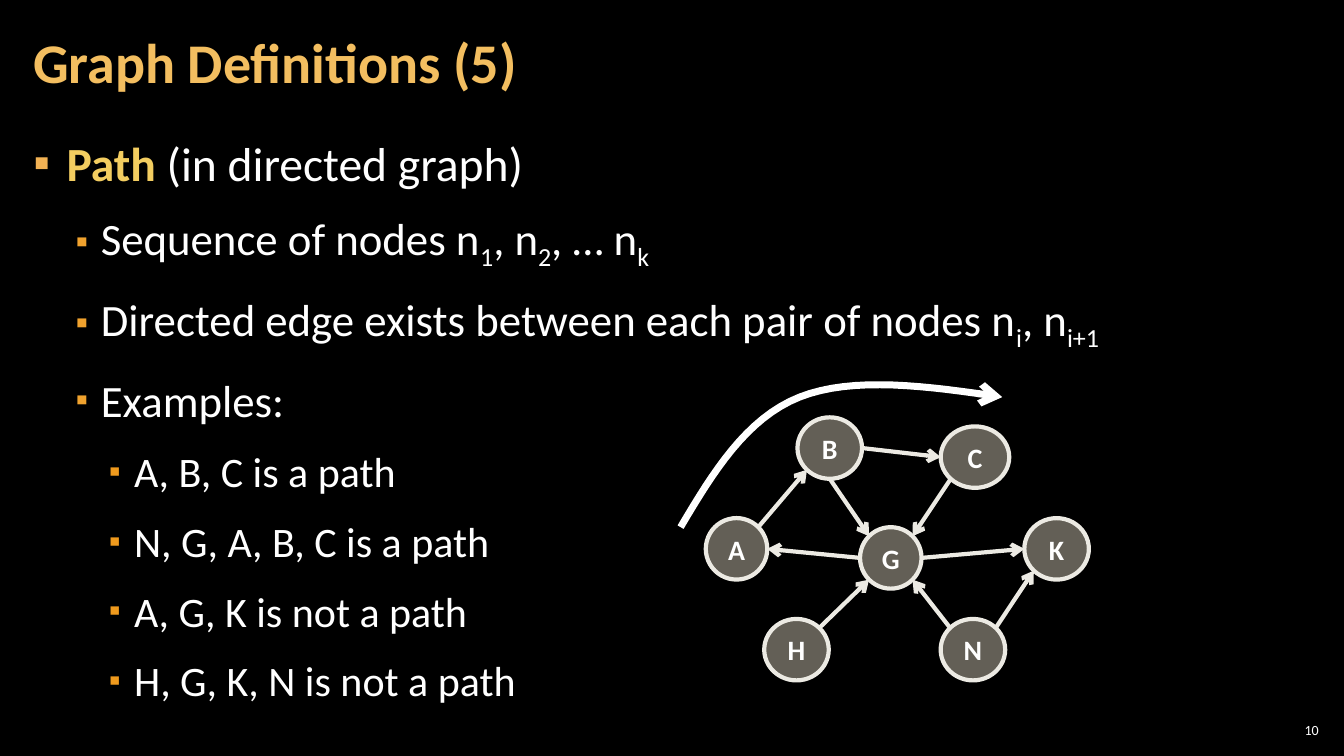
from math import cos, radians, sin

from lxml import etree
from pptx import Presentation
from pptx.dml.color import RGBColor
from pptx.enum.shapes import MSO_CONNECTOR, MSO_SHAPE
from pptx.enum.text import MSO_ANCHOR, MSO_AUTO_SIZE, PP_ALIGN
from pptx.oxml.ns import qn
from pptx.util import Inches, Pt

ELLIPSE, STRAIGHT = MSO_SHAPE.OVAL, MSO_CONNECTOR.STRAIGHT
MIDDLE, TOP = MSO_ANCHOR.MIDDLE, MSO_ANCHOR.TOP
LEFT, CENTER, RIGHT = PP_ALIGN.LEFT, PP_ALIGN.CENTER, PP_ALIGN.RIGHT

TITLE = "Graph Definitions (5)"
SLIDE_NUMBER = "10"
# Each line is (level, [(text, style), ...])
LINES = [
    (0, [("Path", "key"), (" (in directed graph)", "")]),
    (1, [("Sequence of nodes n", ""), ("1", "sub"), (", n", ""), ("2", "sub"),
         (", … n", ""), ("k", "sub")]),
    (1, [("Directed edge exists between each pair of nodes n", ""), ("i", "sub"),
         (", n", ""), ("i+1", "sub")]),
    (1, [("Examples:", "")]),
    (2, [("A, B, C is a path", "")]),
    (2, [("N, G, A, B, C is a path", "")]),
    (2, [("A, G, K is not a path", "")]),
    (2, [("H, G, K, N is not a path", "")]),
]
# Node: left, top, width
NODES = {
    "G": (8.53, 5.23, 0.61), "C": (9.33, 4.23, 0.68), "B": (7.91, 4.14, 0.64),
    "A": (7, 5.14, 0.61), "H": (7.58, 6.14, 0.64), "N": (9.33, 6.14, 0.64),
    "K": (10.16, 5.14, 0.64),
}
NODE_HEIGHT = 0.61
# Edge: source, side it leaves, target, side it enters
EDGES = [
    ("C", "SW", "G", "NE"), ("B", "E", "C", "W"), ("B", "S", "G", "NW"),
    ("G", "W", "A", "E"), ("A", "NE", "B", "SW"), ("H", "NE", "G", "SW"),
    ("N", "NW", "G", "SE"), ("G", "E", "K", "W"), ("N", "NE", "K", "SW"),
]
SIDES = ["E", "SE", "S", "SW", "W", "NW", "N", "NE"]
PATH_CURVE = [
    [(6.75, 5.23), (7.07, 4.69), (7.4, 4.15), (7.93, 3.94)],
    [(7.93, 3.94), (8.46, 3.73), (9.2, 3.83), (9.94, 3.94)],
]
CURVE_STEPS = 16

THEME = {
    "font": "Calibri", "background": "000000", "text": "FFFFFF",
    "title": "F3BE60", "key": "F3CD60", "node": "C7BFAC", "line": "ECEAE3",
    "title_size": 40, "node_size": 20, "number_size": 10,
    "levels": [  # size, bullet colour, bullet percent, left margin, indent
        (34, "F2B254", 100, 0.33, -0.33),
        (32, "F0A22E", 80, 0.67, -0.25),
        (30, "EF9A1D", 80, 1, -0.25),
    ],
}


def color(name):
    return RGBColor.from_string(THEME[name])


def set_font(font, size, color_name, bold=False):
    font.name, font.size, font.bold = THEME["font"], Pt(size), bold
    font.color.rgb = color(color_name)


def set_frame(frame, margins, anchor):
    frame.word_wrap = True
    frame.auto_size = MSO_AUTO_SIZE.NONE
    frame.vertical_anchor = anchor
    frame.margin_left = frame.margin_right = Inches(margins[0])
    frame.margin_top = frame.margin_bottom = Inches(margins[1])


def place(shape, left, top, width, height):
    shape.left, shape.top = Inches(left), Inches(top)
    shape.width, shape.height = Inches(width), Inches(height)


def add_child(parent, tag, **attributes):
    return etree.SubElement(parent, qn(tag), attributes)


def set_bullet(paragraph, level):
    _, bullet_color, percent, margin, indent = THEME["levels"][level]
    properties = paragraph._p.get_or_add_pPr()
    properties.set("marL", str(Inches(margin)))
    properties.set("indent", str(Inches(indent)))
    add_child(add_child(properties, "a:buClr"), "a:srgbClr", val=bullet_color)
    add_child(properties, "a:buSzPct", val=str(percent * 1000))
    add_child(properties, "a:buChar", char="▪")


def style_line(shape, color_name, width, arrow=False):
    shape.line.color.rgb = color(color_name)
    shape.line.width = Pt(width)
    if arrow:
        add_child(shape.line._get_or_add_ln(), "a:tailEnd", type="arrow")


def side_point(name, side):
    """Point on the node's outline in the given compass direction."""
    left, top, width = NODES[name]
    angle = radians(45 * SIDES.index(side))
    return (Inches(left + width / 2 * (1 + cos(angle))),
            Inches(top + NODE_HEIGHT / 2 * (1 + sin(angle))))


def curve_points(controls):
    """Points along a cubic curve, without its start."""
    for step in range(1, CURVE_STEPS + 1):
        t = step / CURVE_STEPS
        weights = ((1 - t) ** 3, 3 * t * (1 - t) ** 2, 3 * t * t * (1 - t), t ** 3)
        yield tuple(Inches(sum(w * point[axis] for w, point in zip(weights, controls)))
                    for axis in (0, 1))


def add_title(slide):
    title = slide.shapes.title
    place(title, 0.21, 0.04, 10.47, 1.21)
    set_frame(title.text_frame, (0.12, 0.04), MIDDLE)
    paragraph = title.text_frame.paragraphs[0]
    paragraph.text, paragraph.alignment, paragraph.line_spacing = TITLE, LEFT, 0.9
    set_font(paragraph.font, THEME["title_size"], "title", True)


def add_body(slide):
    body = slide.placeholders[1]
    place(body, 0.21, 1.26, 12.91, 6.09)
    frame = body.text_frame
    set_frame(frame, (0.12, 0.04), TOP)
    for index, (level, runs) in enumerate(LINES):
        paragraph = frame.add_paragraph() if index else frame.paragraphs[0]
        paragraph.level = level
        set_bullet(paragraph, level)
        paragraph.line_spacing = 1.05
        paragraph.space_before = Pt(6 if index else 0)
        paragraph.space_after = Pt(6)
        set_font(paragraph.font, THEME["levels"][level][0], "text")
        for text, style in runs:
            run = paragraph.add_run()
            run.text = text
            if style == "key":
                run.font.bold = True
                run.font.color.rgb = color("key")
            elif style == "sub":
                run._r.get_or_add_rPr().set("baseline", "-25000")


def add_path_arrow(slide):
    start = tuple(Inches(value) for value in PATH_CURVE[0][0])
    builder = slide.shapes.build_freeform(*start)
    for controls in PATH_CURVE:
        builder.add_line_segments(curve_points(controls), close=False)
    arrow = builder.convert_to_shape()
    arrow.shadow.inherit = False
    arrow.fill.background()
    style_line(arrow, "text", 5, arrow=True)


def add_node(slide, name):
    left, top, width = NODES[name]
    node = slide.shapes.add_shape(ELLIPSE, 0, 0, 0, 0)
    place(node, left, top, width, NODE_HEIGHT)
    node.shadow.inherit = False
    node.fill.solid()
    node.fill.fore_color.rgb = color("node")
    fill_color = node._element.spPr.find(qn("a:solidFill")).find(qn("a:srgbClr"))
    add_child(fill_color, "a:alpha", val="50000")
    style_line(node, "line", 3)
    set_frame(node.text_frame, (0.04, 0.05), MIDDLE)
    paragraph = node.text_frame.paragraphs[0]
    paragraph.text, paragraph.alignment = name, CENTER
    set_font(paragraph.font, THEME["node_size"], "text", True)


def add_edge(slide, source, leaving, target, entering):
    edge = slide.shapes.add_connector(
        STRAIGHT, *side_point(source, leaving), *side_point(target, entering))
    style_line(edge, "line", 3, arrow=True)
    add_child(edge._element.spPr, "a:effectLst")


def add_slide_number(slide):
    box = slide.shapes.add_textbox(Inches(12.65), Inches(7.14), Inches(0.47), Inches(0.21))
    set_frame(box.text_frame, (0.04, 0.04), MIDDLE)
    paragraph = box.text_frame.paragraphs[0]
    paragraph.text, paragraph.alignment = SLIDE_NUMBER, RIGHT
    set_font(paragraph.font, THEME["number_size"], "text")


def main():
    presentation = Presentation()
    presentation.slide_width, presentation.slide_height = Inches(13.33), Inches(7.5)
    slide = presentation.slides.add_slide(presentation.slide_layouts[1])
    slide.background.fill.solid()
    slide.background.fill.fore_color.rgb = color("background")
    add_slide_number(slide)
    add_body(slide)
    add_title(slide)
    add_path_arrow(slide)
    for name in NODES:
        add_node(slide, name)
    for edge in EDGES:
        add_edge(slide, *edge)
    presentation.save("out.pptx")


if __name__ == "__main__":
    main()
